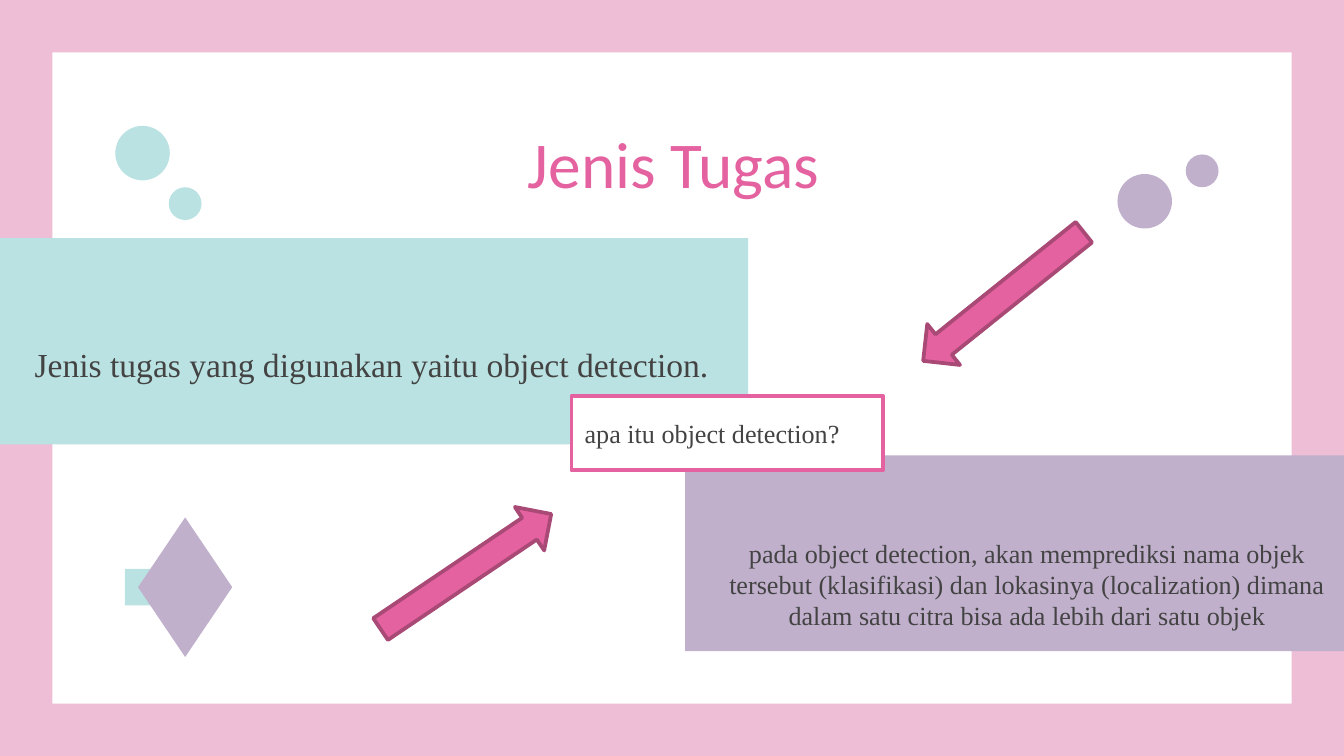
import pptx
import pptx.dml.color
import pptx.enum.shapes
import pptx.enum.text
import pptx.util

Cm = pptx.util.Cm
Pt = pptx.util.Pt
SHAPE = pptx.enum.shapes.MSO_SHAPE
ANCHOR = pptx.enum.text.MSO_ANCHOR
ALIGN = pptx.enum.text.PP_ALIGN

WIDTH, HEIGHT = 25.4, 14.29
ROSE, PINK, DARK_PINK = "EEBDD6", "E562A0", "A94976"
MINT, LILAC, WHITE, INK = "BBE2E2", "C0B0CC", "FFFFFF", "434343"
SERIF = "Times New Roman"


def rgb(value):
    return pptx.dml.color.RGBColor.from_string(value)


def add_shape(shapes, kind, box, fill, line=None):
    sp = shapes.add_shape(kind, *map(Cm, box))
    sp.shadow.inherit = False
    sp.fill.solid()
    sp.fill.fore_color.rgb = rgb(fill)
    if line:
        sp.line.color.rgb = rgb(line)
        sp.line.width = Pt(2)
    else:
        sp.line.fill.background()
    return sp


def set_text(sp, text, font, size, color, align, anchor, insets):
    """Insets are left, top, right and bottom, in centimetres."""
    tf = sp.text_frame
    tf.word_wrap = True
    tf.auto_size = pptx.enum.text.MSO_AUTO_SIZE.NONE
    tf.vertical_anchor = anchor
    tf.margin_left, tf.margin_top, tf.margin_right, tf.margin_bottom = map(Cm, insets)
    tf.text = text
    p = tf.paragraphs[0]
    p.alignment = align
    p.font.name = font
    p.font.size = Pt(size)
    p.font.color.rgb = rgb(color)


def add_background(s, margin):
    s.background.fill.solid()
    s.background.fill.fore_color.rgb = rgb(ROSE)
    box = (margin, margin, WIDTH - 2 * margin, HEIGHT - 2 * margin)
    add_shape(s.shapes, SHAPE.RECTANGLE, box, WHITE)


def place_title(s, box, text):
    title = s.shapes.title
    title.left, title.top, title.width, title.height = map(Cm, box)
    set_text(title, text, "Calibri", 35, PINK, ALIGN.CENTER, ANCHOR.TOP, [0.25] * 4)
    # The title placeholder starts at the back; bring it in front of the white card.
    title.element.getparent().append(title.element)


def add_panel(s, box, fill, text, size, insets):
    sp = add_shape(s.shapes, SHAPE.RECTANGLE, box, fill)
    set_text(sp, text, SERIF, size, INK, ALIGN.CENTER, ANCHOR.BOTTOM, insets)


def add_question(s, box, text):
    sp = add_shape(s.shapes, SHAPE.RECTANGLE, box, WHITE, PINK)
    set_text(sp, text, SERIF, 14, INK, ALIGN.LEFT, ANCHOR.MIDDLE, [0.25] * 4)


def add_dots(s, box, fill, large_on_top):
    """Large dot at the left edge, small dot at the right, in opposite corners."""
    left, top, width, height = box
    large, small = 1.03, 0.62
    large_top, small_top = top, top + height - small
    if not large_on_top:
        large_top, small_top = top + height - large, top
    group = s.shapes.add_group_shape()
    add_shape(group.shapes, SHAPE.OVAL, (left, large_top, large, large), fill)
    add_shape(group.shapes, SHAPE.OVAL,
              (left + width - small, small_top, small, small), fill)


def add_diamond_ornament(s, box):
    left, top, width, height = box
    side, offset = 0.69, 0.25
    add_shape(s.shapes, SHAPE.RECTANGLE,
              (left, top + (height - side) / 2, side, side), MINT)
    add_shape(s.shapes, SHAPE.DIAMOND,
              (left + offset, top, width - offset, height), LILAC)


def add_arrow(s, box, rotation):
    sp = add_shape(s.shapes, SHAPE.UP_ARROW, box, PINK, DARK_PINK)
    sp.rotation = rotation


def main():
    prs = pptx.Presentation()
    prs.slide_width, prs.slide_height = Cm(WIDTH), Cm(HEIGHT)
    s = prs.slides.add_slide(prs.slide_layouts[5])

    add_background(s, 0.99)
    add_panel(s, (-0.46, 4.5, 14.6, 3.9), MINT,
              "Jenis tugas yang digunakan yaitu object detection.",
              18, (0.76, 0.64, 0.38, 1.14))
    add_panel(s, (12.95, 8.61, 12.93, 3.7), LILAC,
              "pada object detection, akan memprediksi nama objek tersebut "
              "(klasifikasi) dan lokasinya (localization) dimana dalam satu "
              "citra bisa ada lebih dari satu objek",
              14, (0.6, 0.64, 0.6, 0.38))
    place_title(s, (2.18, 2.08, 21.11, 1.6), "Jenis Tugas")
    add_question(s, (10.8, 7.49, 5.89, 1.4), "apa itu object detection?")
    add_dots(s, (2.18, 2.38, 1.63, 1.78), MINT, large_on_top=True)
    add_dots(s, (21.12, 2.92, 1.91, 1.4), LILAC, large_on_top=False)
    add_diamond_ornament(s, (2.36, 9.78, 2.03, 2.64))
    add_arrow(s, (18.47, 3.66, 0.99, 3.89), 231.3)
    add_arrow(s, (8.31, 8.86, 0.99, 3.89), 56)

    prs.save("out.pptx")


if __name__ == "__main__":
    main()
